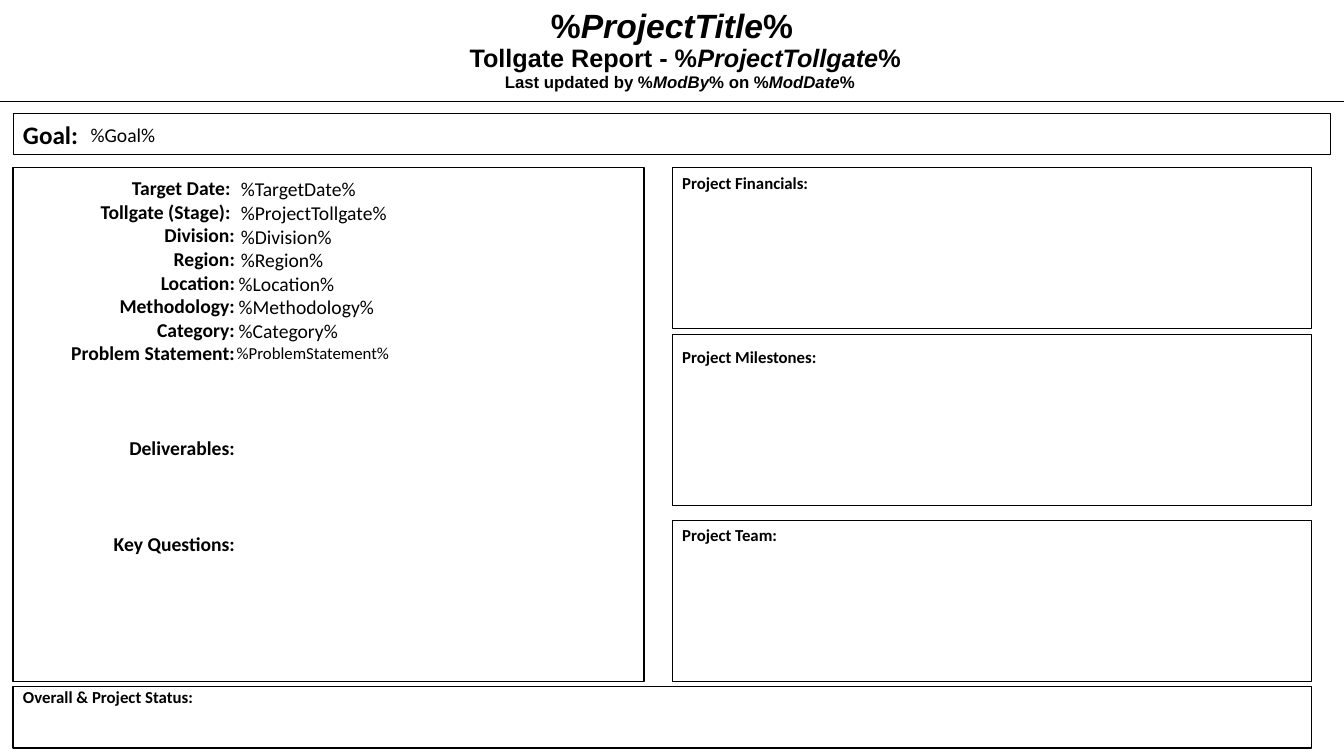
from lxml import etree
from pptx import Presentation
from pptx.dml.color import RGBColor
from pptx.enum import shapes, text
from pptx.oxml import ns
from pptx.util import Pt

BLACK = RGBColor(0x00, 0x00, 0x00)
LEFT, RIGHT_COLUMN = 9.36, 480.2
COLUMN_TOP = 119.5
LINE_HEIGHT = 17.09
VALUE_PITCH = 16.87


class ReportSlide:
    """Holds the style and the slide being built."""

    heading_font = "Arial"
    body_font = "Calibri"

    def __init__(self, presentation):
        self.slide = presentation.slides.add_slide(presentation.slide_layouts[5])

    def format_runs(self, paragraph, size, font, bold):
        for run in paragraph.runs:
            run.font.size = Pt(size)
            run.font.name = font
            run.font.bold = bold
            run.font.color.rgb = BLACK

    def text_box(self, left, top, width, height, content, size=14, bold=False):
        shape = self.slide.shapes.add_textbox(Pt(left), Pt(top), Pt(width), Pt(height))
        frame = shape.text_frame
        frame.word_wrap = True
        frame.text = content
        for paragraph in frame.paragraphs:
            self.format_runs(paragraph, size, self.body_font, bold)
        return shape

    def heading(self, shape, parts, size):
        """Fill a heading; every second part is an italic field name."""
        paragraph = shape.text_frame.paragraphs[0]
        for index, part in enumerate(parts):
            run = paragraph.add_run()
            run.text = part
            run.font.italic = index % 2 == 1
        self.format_runs(paragraph, size, self.heading_font, True)

    def title(self, left, top, width, height, parts, size):
        shape = self.slide.shapes.title
        shape.left, shape.top = Pt(left), Pt(top)
        shape.width, shape.height = Pt(width), Pt(height)
        frame = shape.text_frame
        frame.auto_size = text.MSO_AUTO_SIZE.NONE
        frame.vertical_anchor = text.MSO_ANCHOR.TOP
        frame.paragraphs[0].alignment = text.PP_ALIGN.CENTER
        self.heading(shape, parts, size)

    def box(self, left, top, width, height, line_width=0.75):
        shape = self.slide.shapes.add_shape(
            shapes.MSO_SHAPE.RECTANGLE, Pt(left), Pt(top), Pt(width), Pt(height))
        shape.shadow.inherit = False
        shape.fill.background()
        shape.line.color.rgb = BLACK
        shape.line.width = Pt(line_width)
        return shape

    def rule(self, left, top, right, line_width):
        connector = self.slide.shapes.add_connector(
            shapes.MSO_CONNECTOR.STRAIGHT, Pt(left), Pt(top), Pt(right), Pt(top))
        connector.line.color.rgb = BLACK
        connector.line.width = Pt(line_width)
        properties = connector._element.find(ns.qn("p:spPr"))
        etree.SubElement(properties, ns.qn("a:effectLst"))


def main():
    presentation = Presentation()
    presentation.slide_width, presentation.slide_height = Pt(960), Pt(540)
    report = ReportSlide(presentation)

    # Header
    report.title(0, 0, 960, 36, ["%", "ProjectTitle", "%"], 24)
    report.rule(0, 72.7, 960, 0.5)
    tollgate = report.text_box(328.3, 26.6, 424.1, 28.8, "")
    report.heading(tollgate, ["Tollgate Report - %", "ProjectTollgate", "%"], 18)
    updated = report.text_box(353.5, 47.5, 355, 21.6, "")
    report.heading(updated, ["Last updated by %", "ModBy", "% on %", "ModDate", "%"], 12)

    # Goal
    goal = report.box(LEFT, 81.4, 941, 28.8)
    goal.text_frame.text = "Goal:"
    goal_paragraph = goal.text_frame.paragraphs[0]
    goal_paragraph.alignment = text.PP_ALIGN.LEFT
    report.format_runs(goal_paragraph, 18, report.body_font, True)
    report.text_box(57.6, 84.2, 892.8, 24.5, "%Goal%")

    # Project details: labels
    report.box(LEFT, COLUMN_TOP, 450.7, 367.2, 1)
    labels = ["Target Date: ", "Tollgate (Stage): ", "Division:", "Region:", "Location:",
              "Methodology:", "Category:", "Problem Statement:",
              "Deliverables:", "Key Questions:"]
    label_box = report.text_box(LEFT, 122.4, 165.6, 278.6, "\n".join(labels), bold=True)
    paragraphs = label_box.text_frame.paragraphs
    for paragraph in paragraphs:
        paragraph.alignment = text.PP_ALIGN.RIGHT
    for paragraph in paragraphs[-2:]:
        paragraph.space_before = Pt(3 * LINE_HEIGHT)

    # Project details: values
    values = [("TargetDate", 164.9, 14), ("ProjectTollgate", 164.9, 14),
              ("Division", 164.9, 14), ("Region", 164.9, 14),
              ("Location", 163.4, 14), ("Methodology", 163.4, 14),
              ("Category", 163.4, 14), ("ProblemStatement", 162, 12)]
    for row, (field, left, size) in enumerate(values):
        report.text_box(left, 123.1 + row * VALUE_PITCH, 295.9, size * 1.75,
                        f"%{field}%", size)

    # Right column and status: box, then heading
    sections = [
        ("Project Financials:", RIGHT_COLUMN, COLUMN_TOP, 456.5, 115.2, 120.2, 0.75),
        ("Project Milestones:", RIGHT_COLUMN, 239, 456.5, 122.4, 244.1, 0.75),
        ("Project Team:", RIGHT_COLUMN, 371.5, 456.5, 115.2, 371.5, 0.75),
        ("Overall & Project Status:", LEFT, 490.3, 927.4, 43.9, 486.7, 1),
    ]
    for name, left, top, width, height, name_top, line_width in sections:
        report.box(left, top, width, height, line_width)
        report.text_box(left, name_top, 151.2, 21.6, name, 12, True)

    presentation.save("out.pptx")


if __name__ == "__main__":
    main()
